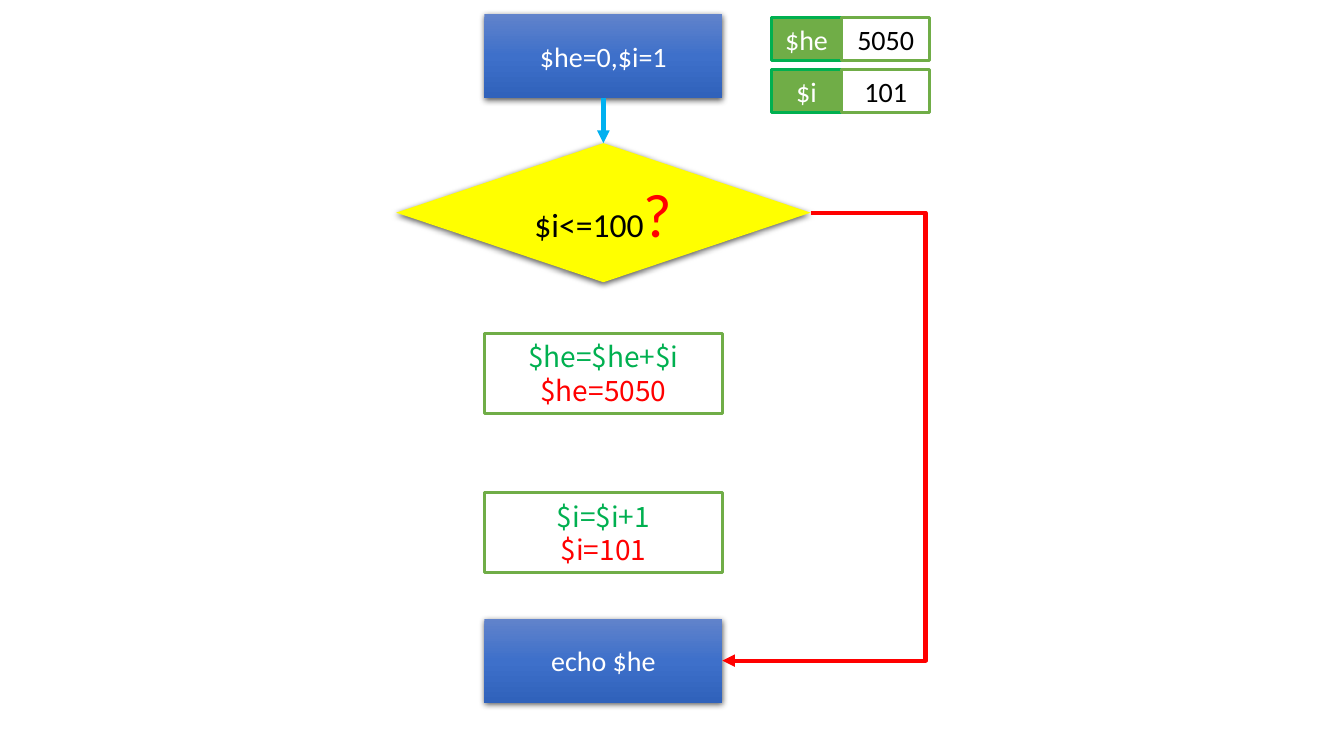
from copy import deepcopy

from lxml import etree
from pptx import Presentation
from pptx.dml.color import RGBColor
from pptx.enum.shapes import MSO_CONNECTOR, MSO_SHAPE
from pptx.enum.text import MSO_ANCHOR, PP_ALIGN
from pptx.oxml.ns import qn
from pptx.util import Inches, Pt

RECTANGLE, DIAMOND = MSO_SHAPE.RECTANGLE, MSO_SHAPE.DIAMOND
STRAIGHT, ELBOW = MSO_CONNECTOR.STRAIGHT, MSO_CONNECTOR.ELBOW
MIDDLE, CENTER = MSO_ANCHOR.MIDDLE, PP_ALIGN.CENTER
BOTTOM_SITE, RIGHT_SITE, TOP_SITE = 2, 3, 0
GREEN, LEAF, RED, WHITE, BLACK = "00B050", "70AD47", "FF0000", "FFFFFF", "000000"
BLUES = [(0, "6183CB"), (0.5, "3E70CA"), (1, "3062BB")]


def color(hex_string):
    """Turn a hex string into a colour."""
    return RGBColor.from_string(hex_string)


def add_child(parent, tag, **attributes):
    """Append a drawing element with the given attributes."""
    child = etree.SubElement(parent, qn(tag))
    for name, value in attributes.items():
        child.set(name, str(value))
    return child


def add_text(para, text, font="Calibri", size=20, fill=WHITE):
    """Add one formatted span to a centred paragraph."""
    para.alignment = CENTER
    span = para.add_run()
    span.text = text
    span.font.name = font
    span.font.size = Pt(size)
    span.font.color.rgb = color(fill)


def add_box(page, box, kind=RECTANGLE, fill=WHITE, line=None):
    """Add a flat shape with its text anchored in the middle."""
    shape = page.shapes.add_shape(kind, *map(Inches, box))
    shape.shadow.inherit = False
    shape.fill.solid()
    shape.fill.fore_color.rgb = color(fill)
    if line:
        shape.line.color.rgb = color(line)
        shape.line.width = Pt(2.25)
    else:
        shape.line.fill.background()
    shape.text_frame.word_wrap = True
    shape.text_frame.vertical_anchor = MIDDLE
    return shape


def add_shadow(shape):
    """Give a shape a soft shadow that falls downwards."""
    effects = shape._element.spPr.find(qn("a:effectLst"))
    shadow = add_child(effects, "a:outerShdw", blurRad=Pt(4.5), dist=Pt(1.5),
                       dir=5400000, algn="ctr", rotWithShape=0)
    shade = add_child(shadow, "a:srgbClr", val=BLACK)
    add_child(shade, "a:alpha", val=63000)


def add_terminal(page, box, text):
    """Add a blue gradient block that starts or ends the flow."""
    shape = add_box(page, box)
    shape.fill.gradient()
    shape.fill.gradient_angle = 270
    stops = shape._element.spPr.find(".//" + qn("a:gsLst"))
    stops.append(deepcopy(stops[0]))
    for stop, (position, shade) in zip(shape.fill.gradient_stops, BLUES):
        stop.position = position
        stop.color.rgb = color(shade)
    add_shadow(shape)
    add_text(shape.text_frame.paragraphs[0], text)
    return shape


def add_decision(page, box, condition):
    """Add the yellow diamond that asks the loop condition."""
    shape = add_box(page, box, DIAMOND, "FFFF00")
    add_shadow(shape)
    frame = shape.text_frame
    frame.margin_left = frame.margin_right = Inches(0.04)
    frame.margin_top = frame.margin_bottom = 0
    add_text(frame.paragraphs[0], condition, size=24, fill=BLACK)
    add_text(frame.paragraphs[0], "?", size=44, fill=RED)
    return shape


def add_step(page, box, statement, result):
    """Add a loop step with its statement above its result."""
    frame = add_box(page, box, line=LEAF).text_frame
    add_text(frame.paragraphs[0], statement, "Noto Sans CJK SC", fill=GREEN)
    add_text(frame.add_paragraph(), result, "Noto Sans CJK SC", fill=RED)


def add_variable(page, box, name, value):
    """Add a name cell and a value cell side by side."""
    left, top, width, height = box
    name_width = 0.7
    name_cell = add_box(page, (left, top, name_width, height), fill=LEAF, line=GREEN)
    add_text(name_cell.text_frame.paragraphs[0], name)
    value_box = (left + name_width, top, width - name_width, height)
    value_cell = add_box(page, value_box, line=LEAF)
    add_text(value_cell.text_frame.paragraphs[0], value, fill=BLACK)


def add_arrow(page, kind, start, end, shade):
    """Join two (shape, site) pairs with an arrow."""
    arrow = page.shapes.add_connector(kind, 0, 0, 0, 0)
    arrow.begin_connect(*start)
    arrow.end_connect(*end)
    arrow.line.color.rgb = color(shade)
    arrow.line.width = Pt(3)
    add_child(arrow.line._get_or_add_ln(), "a:tailEnd", type="triangle")
    add_child(arrow._element.spPr, "a:effectLst")
    return arrow


def add_flow(page, box):
    """Draw the loop flowchart inside the box."""
    left, top, width, height = box
    block_width, block_height, step_height = 2.36, 0.83, 0.79
    diamond_width, diamond_height = 4.11, 1.38
    block_left = left + (diamond_width - block_width) / 2
    start = add_terminal(page, (block_left, top, block_width, block_height), "$he=0,$i=1")
    decision = add_decision(page, (left, top + 1.28, diamond_width, diamond_height), "$i<=100")
    steps = [("$he=$he+$i", "$he=5050"), ("$i=$i+1", "$i=101")]
    for index, step in enumerate(steps):
        step_top = top + 3.17 + 1.58 * index
        add_step(page, (block_left, step_top, block_width, step_height), *step)
    end_top = top + height - block_height
    end = add_terminal(page, (block_left, end_top, block_width, block_height), "echo $he")
    add_arrow(page, STRAIGHT, (start, BOTTOM_SITE), (decision, TOP_SITE), "00B0F0")
    exit_arrow = add_arrow(page, ELBOW, (decision, RIGHT_SITE), (end, RIGHT_SITE), RED)
    detour = Inches(width - diamond_width) / exit_arrow.width
    guides = exit_arrow._element.spPr.find(".//" + qn("a:avLst"))
    add_child(guides, "a:gd", name="adj1", fmla=f"val {round(-100000 * detour)}")


def add_variables(page, box):
    """Draw the table of current variable values inside the box."""
    left, top, width, height = box
    row_height, pitch = 0.43, 0.52
    for index, pair in enumerate([("$he", "5050"), ("$i", "101")]):
        add_variable(page, (left, top + pitch * index, width, row_height), *pair)


deck = Presentation()
deck.slide_width, deck.slide_height = Inches(13.33), Inches(7.5)
page = deck.slides.add_slide(deck.slide_layouts[6])
add_flow(page, (3.93, 0.14, 5.25, 6.83))
add_variables(page, (7.65, 0.17, 1.57, 0.95))
deck.save("out.pptx")
